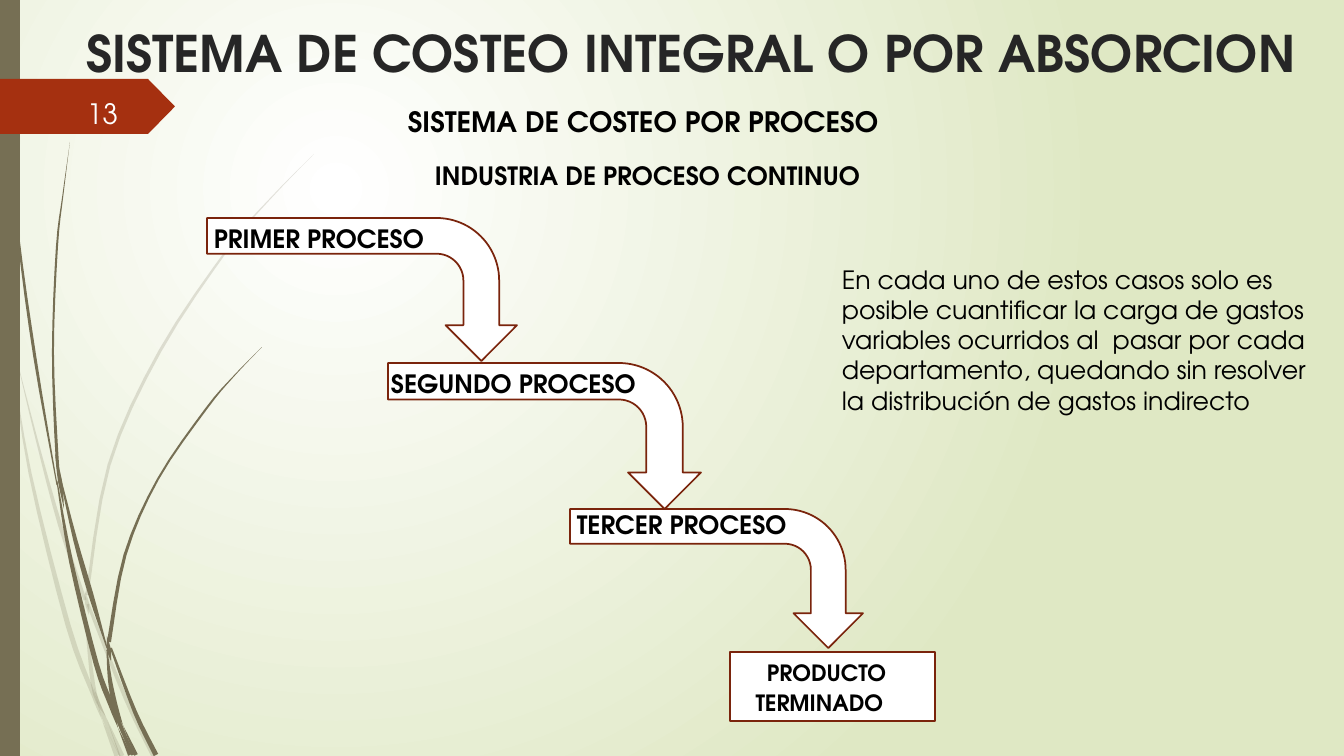
import math
import pptx
import pptx.util
import pptx.dml.color
import pptx.enum.shapes
import pptx.enum.text
import pptx.oxml.ns
import lxml.etree

PX = 12192000 / 1344
FONT = "TeX Gyre Adventor"
COLORS = {"white": "FFFFFF", "mist": "DFE8C4", "olive": "766F54", "rust": "A53010",
          "outline": "7A240C", "title": "262626", "black": "000000", "number": "FEFFFF"}
SHAPE = pptx.enum.shapes.MSO_SHAPE
ALIGN = pptx.enum.text.PP_ALIGN
ANCHOR = pptx.enum.text.MSO_ANCHOR
qn = pptx.oxml.ns.qn

# Pieces of grass as centre-line points: x, y, thickness
PALE_BLADES = [
    [(0, 292, 4), (5, 320, 3), (10, 352, 1)],
    [(14, 348, 0), (36, 437, 2), (60, 525, 4), (85, 600, 3)],
    [(88, 604, 3), (126, 699, 4), (154, 756, 5)],
    [(106, 717, 0), (122, 756, 5)],
    [(11, 353, 0), (30, 473, 3), (68, 625, 5), (93, 694, 4), (102, 720, 0)],
    [(84, 604, 0), (89, 651, 3), (95, 694, 4), (106, 717, 0)],
    [(314, 154, 0), (270, 199, 1), (230, 246, 2), (160, 351, 3), (109, 465, 3), (87, 595, 3)],
    [(102, 720, 0), (117, 756, 5)],
    [(85, 591, 0), (87, 603, 4), (89, 615, 0)],
    [(94, 688, 0), (104, 718, 4), (120, 756, 1)],
]
DARK_BLADES = [
    [(4, 0, 1), (7, 110, 1), (18, 234, 2), (35, 358, 3), (57, 485, 1)],
    [(60, 476, 1), (75, 539, 4), (91, 595, 5), (107, 648, 1)],
    [(111, 648, 2), (135, 712, 4), (156, 755, 5)],
    [(57, 481, 1), (71, 561, 4), (96, 663, 5), (111, 705, 5), (118, 728, 0)],
    [(70, 142, 0), (63, 195, 1), (57, 247, 2), (53, 352, 2), (57, 455, 3), (60, 476, 1)],
    [(123, 725, 0), (136, 755, 4)],
    [(55, 453, 0), (60, 481, 4), (64, 509, 0)],
    [(262, 347, 0), (233, 377, 1), (206, 409, 2), (158, 479, 2), (125, 555, 3), (109, 642, 4)],
    [(118, 728, 0), (130, 755, 4)],
    [(107, 650, 1), (110, 680, 4), (115, 705, 5), (123, 725, 0)],
    [(107, 636, 0), (109, 650, 4), (111, 661, 0)],
    [(111, 697, 0), (119, 722, 4), (133, 755, 3)],
]

# Process name, arrow box as seen, offset of its label
STEPS = [
    ("PRIMER PROCESO", (207, 218, 310, 143), (-3, 0)),
    ("SEGUNDO PROCESO", (388, 363, 313, 146), (-7, 0)),
    ("TERCER PROCESO", (570, 509, 293, 139), (-3, -5)),
]


def px(n):
    return pptx.util.Emu(round(n * PX))


def color(name):
    return pptx.dml.color.RGBColor.from_string(COLORS[name])


def place(sp, box):
    sp.left, sp.top, sp.width, sp.height = (px(n) for n in box)


def text(s, words, box, sp=None, size=18, bold=True, ink="black", align=ALIGN.LEFT,
         anchor=ANCHOR.TOP, margin=0, first=0, spacing=None):
    sp = sp or s.shapes.add_textbox(0, 0, 0, 0)
    place(sp, box)
    tf = sp.text_frame
    tf.word_wrap = True
    tf.auto_size = pptx.enum.text.MSO_AUTO_SIZE.NONE
    tf.vertical_anchor = anchor
    p = tf.paragraphs[0]
    p.alignment = align
    if spacing:
        p.line_spacing = spacing
    for name, indent in (("marL", margin), ("indent", first)):
        if indent:
            p._p.get_or_add_pPr().set(name, str(px(indent)))
    r = p.add_run()
    r.text = words
    r.font.name, r.font.size, r.font.bold = FONT, pptx.util.Pt(size), bold
    r.font.color.rgb = color(ink)


def paint(sp, fill, line=None, alpha=None):
    sp.shadow.inherit = False
    sp.fill.solid()
    sp.fill.fore_color.rgb = color(fill)
    if alpha:
        clr = next(sp._element.spPr.iter(qn("a:srgbClr")))
        lxml.etree.SubElement(clr, qn("a:alpha")).set("val", str(alpha * 1000))
    if line:
        sp.line.color.rgb = color(line)
        sp.line.width = pptx.util.Pt(1.25)
    else:
        sp.line.fill.background()


def shape(s, kind, box, fill, line=None):
    sp = s.shapes.add_shape(kind, 0, 0, 0, 0)
    place(sp, box)
    paint(sp, fill, line)
    return sp


def smooth_line(points, steps=4):
    """Catmull-Rom curve through the points."""
    ends = [points[0], *points, points[-1]]
    curve = []
    for a, b, c, d in zip(ends, ends[1:], ends[2:], ends[3:]):
        for i in range(steps):
            t = i / steps
            curve.append([(2 * q + (r - o) * t + (2 * o - 5 * q + 4 * r - u) * t ** 2
                           + (3 * q - o - 3 * r + u) * t ** 3) / 2
                          for o, q, r, u in zip(a, b, c, d)])
    return curve + [list(points[-1])]


def blade(s, points, alpha=None):
    curve = smooth_line(points)
    left, right = [], []
    for i, (x, y, w) in enumerate(curve):
        before, after = curve[max(i - 1, 0)], curve[min(i + 1, len(curve) - 1)]
        dx, dy = after[0] - before[0], after[1] - before[1]
        half = w / 2 / math.hypot(dx, dy)
        left.append((px(x - dy * half), px(y + dx * half)))
        right.append((px(x + dy * half), px(y - dx * half)))
    outline = left + right[::-1]
    builder = s.shapes.build_freeform(*outline[0])
    builder.add_line_segments(outline[1:], close=True)
    paint(builder.convert_to_shape(), "olive", alpha=alpha)


def background(s):
    fill = s.background.fill
    fill.gradient()
    for stop, name, position in zip(fill.gradient_stops, ("white", "mist"), (0, 1)):
        stop.color.rgb = color(name)
        stop.position = position
    # Circular gradient centred in the upper left
    grad = next(s.element.iter(qn("a:gradFill")))
    grad.remove(grad.find(qn("a:lin")))
    circle = lxml.etree.SubElement(grad, qn("a:path"))
    circle.set("path", "circle")
    rect = lxml.etree.SubElement(circle, qn("a:fillToRect"))
    for side, value in zip("ltrb", (50000, 50000, 100000, 100000)):
        rect.set(side, str(value))


def decoration(s):
    for points in PALE_BLADES:
        blade(s, points, alpha=20)
    for points in DARK_BLADES:
        blade(s, points)
    shape(s, SHAPE.RECTANGLE, (0, 0, 20, 756), "olive")


def number_tag(s, box):
    x, y, w, h = box
    tag = shape(s, SHAPE.PENTAGON, box, "rust")
    tag.adjustments[0] = 0.49
    text(s, "13", (x + 42, y + 14, 86, 40), size=20, bold=False, ink="number",
         align=ALIGN.RIGHT, anchor=ANCHOR.MIDDLE)


def headings(s):
    text(s, "SISTEMA DE COSTEO INTEGRAL O POR ABSORCION", (76, 17, 1268, 72),
         sp=s.shapes.title, size=36, ink="title")
    text(s, "SISTEMA DE COSTEO POR PROCESO", (398, 100, 561, 44), size=20)
    text(s, "INDUSTRIA DE PROCESO CONTINUO", (406, 155, 482, 48),
         align=ALIGN.JUSTIFY, margin=19)


def process_step(s, name, box, offset):
    x, y, w, h = box
    # The frame is upright before its quarter turn
    turned = (x + (w - h) / 2, y + (h - w) / 2, h, w)
    shape(s, SHAPE.BENT_ARROW, turned, "white", "outline").rotation = 90
    text(s, name, (x + offset[0], y + offset[1], 266, 40))


def finished_product(s, box):
    x, y, w, h = box
    shape(s, SHAPE.RECTANGLE, box, "white", "outline")
    text(s, "PRODUCTO TERMINADO", (x + 11, y - 1, 157, 72), size=16,
         align=ALIGN.CENTER, first=14, spacing=1.12)


def main():
    prs = pptx.Presentation()
    prs.slide_width, prs.slide_height = px(1344), px(756)
    s = prs.slides.add_slide(prs.slide_layouts[5])
    background(s)
    decoration(s)
    number_tag(s, (0, 79, 175, 55))
    headings(s)
    for step in STEPS:
        process_step(s, *step)
    finished_product(s, (730, 652, 205, 69))
    # Closing remark
    text(s, "En cada uno de estos casos solo es posible cuantificar la carga de gastos "
         "variables ocurridos al  pasar por cada departamento, quedando sin resolver "
         "la distribución de gastos indirecto", (832, 259, 494, 163), bold=False)
    prs.save("out.pptx")


if __name__ == "__main__":
    main()
